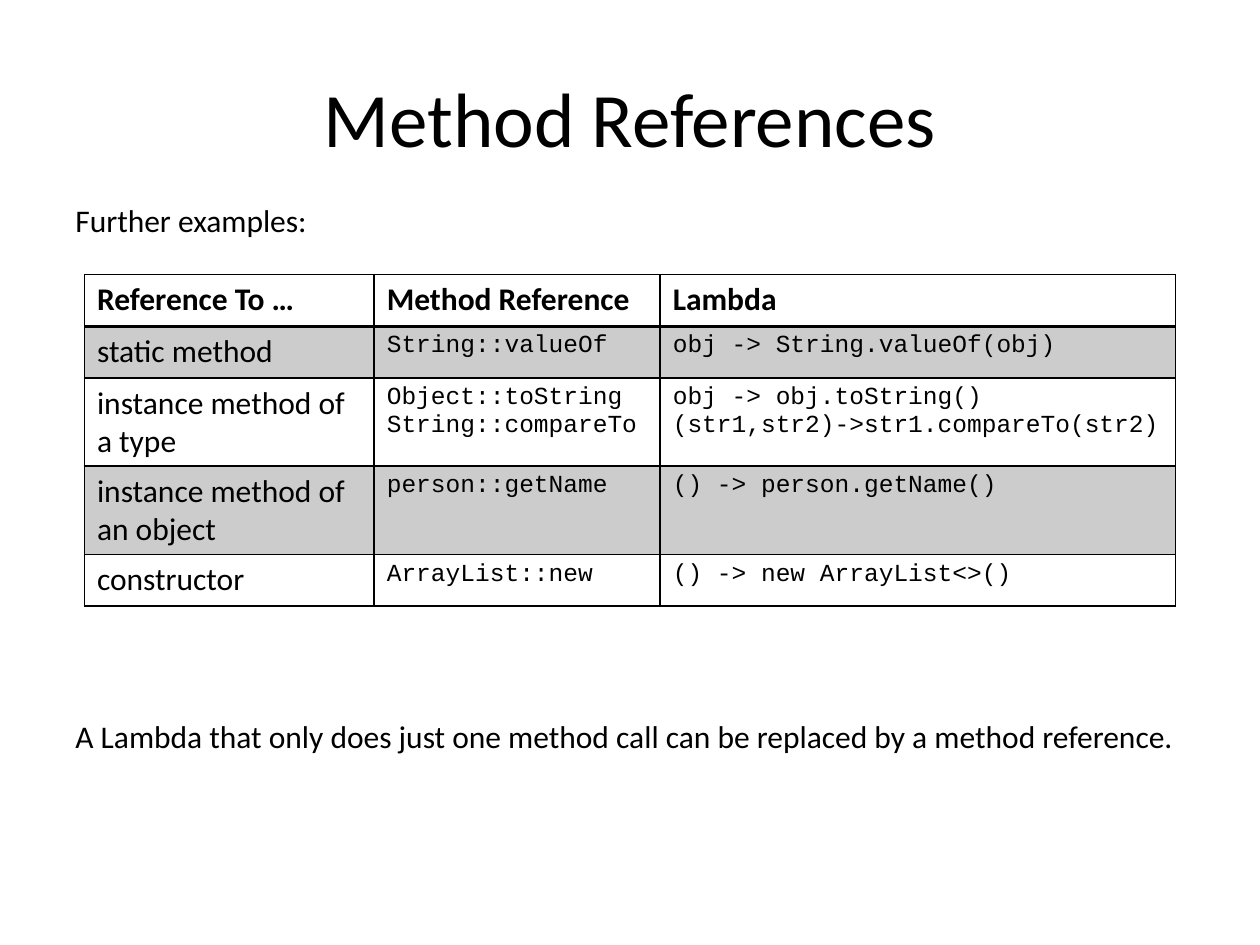
from lxml import etree
from pptx import Presentation
from pptx.dml.color import RGBColor
from pptx.enum.text import MSO_ANCHOR, MSO_AUTO_SIZE, PP_ALIGN
from pptx.oxml.ns import qn
from pptx.util import Inches, Pt

MIDDLE = MSO_ANCHOR.MIDDLE
GROW = MSO_AUTO_SIZE.SHAPE_TO_FIT_TEXT
CENTER = PP_ALIGN.CENTER
LEFT = PP_ALIGN.LEFT

INK = "000000"
TITLE = {"name": "Calibri", "size": Pt(44), "bold": False}
BODY = {"name": "Calibri", "size": Pt(18), "bold": False}
HEAD = {**BODY, "bold": True}
CODE = {"name": "Courier New", "size": Pt(14), "bold": False}

COLS = [2.3, 2.27, 4.09]
HIGHS = [0.41, 0.41, 0.7, 0.7, 0.41]
ROWS = [
    ["Reference To …", "Method Reference", "Lambda"],
    ["static method", "String::valueOf", "obj -> String.valueOf(obj)"],
    ["instance method of a type", "Object::toString\nString::compareTo",
     "obj -> obj.toString()\n(str1,str2)->str1.compareTo(str2)"],
    ["instance method of an object", "person::getName", "() -> person.getName()"],
    ["constructor", "ArrayList::new", "() -> new ArrayList<>()"],
]


def color(code):
    """Turn a hex string into a colour."""
    return RGBColor.from_string(code)


def write(frame, text, look, align=LEFT):
    """Fill a text frame and format each of its paragraphs."""
    frame.text = text
    for para in frame.paragraphs:
        para.alignment = align
        for key, value in look.items():
            setattr(para.font, key, value)
        para.font.color.rgb = color(INK)


def place(shape, box):
    """Move a shape to a box given in inches."""
    for key, value in zip(("left", "top", "width", "height"), box):
        setattr(shape, key, Inches(value))


def add_title(slide, box, text):
    """Place and format the slide title."""
    title = slide.shapes.title
    place(title, box)
    write(title.text_frame, text, TITLE, CENTER)
    title.text_frame.vertical_anchor = MIDDLE


def add_note(slide, box, text):
    """Add a single line of body text."""
    frame = slide.shapes.add_textbox(*map(Inches, box)).text_frame
    write(frame, text, BODY)
    frame.word_wrap = False
    frame.auto_size = GROW


def add_edges(cell, widths):
    """Draw the cell borders, with widths in points by side."""
    props = cell._tc.get_or_add_tcPr()
    for side, width in widths.items():
        line = etree.SubElement(props, qn(f"a:ln{side}"), w=str(Pt(width)))
        fill = etree.SubElement(line, qn("a:solidFill"))
        etree.SubElement(fill, qn("a:srgbClr"), val=INK)


def shade(cell, alpha):
    """Fill a cell with ink at an opacity in percent, or leave it clear."""
    if not alpha:
        cell.fill.background()
        return
    cell.fill.solid()
    cell.fill.fore_color.rgb = color(INK)
    tint = cell._tc.tcPr.find(".//" + qn("a:solidFill") + "/" + qn("a:srgbClr"))
    for tint in cell._tc.tcPr.findall(qn("a:solidFill") + "/" + qn("a:srgbClr")):
        etree.SubElement(tint, qn("a:alpha"), val=str(alpha * 1000))


def add_grid(slide, box):
    """Add the table of method references and lambdas."""
    grid = slide.shapes.add_table(len(ROWS), len(COLS), *map(Inches, box)).table
    grid.first_row = grid.horz_banding = False
    for col, width in zip(grid.columns, COLS):
        col.width = Inches(width)
    for r, texts in enumerate(ROWS):
        grid.rows[r].height = Inches(HIGHS[r])
        edges = {"L": 1, "R": 1, "T": 2 if r == 1 else 1, "B": 2 if r == 0 else 1}
        for c, text in enumerate(texts):
            cell = grid.cell(r, c)
            look = HEAD if r == 0 else CODE if c else BODY
            write(cell.text_frame, text, look)
            add_edges(cell, edges)
            shade(cell, 20 if r % 2 else 0)


def main():
    """Build and save the slide."""
    deck = Presentation()
    deck.slide_width, deck.slide_height = Inches(10), Inches(7.5)
    slide = deck.slides.add_slide(deck.slide_layouts[5])
    add_note(slide, (0.5, 5.64, 8.98, 0.4),
             "A Lambda that only does just one method call "
             "can be replaced by a method reference.")
    add_title(slide, (0.5, 0.3, 9, 1.25), "Method References")
    add_note(slide, (0.5, 1.55, 2.06, 0.4), "Further examples:")
    add_grid(slide, (0.67, 2.18, sum(COLS), sum(HIGHS)))
    deck.save("out.pptx")


if __name__ == "__main__":
    main()
